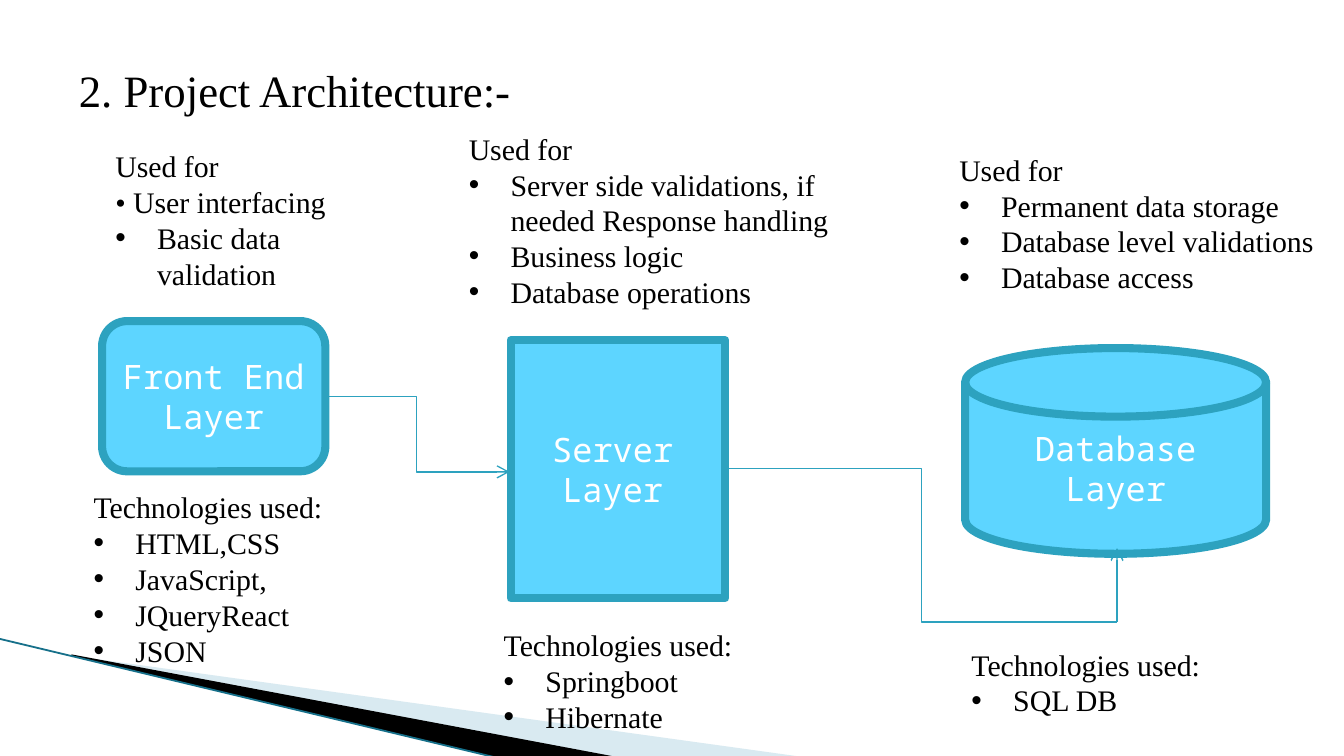
"""Builds the project architecture slide with its three layers."""
from dataclasses import dataclass

from lxml.etree import SubElement
from pptx import Presentation
from pptx.dml.color import RGBColor
from pptx.enum.shapes import MSO_CONNECTOR as Connector, MSO_SHAPE as Shape
from pptx.enum.text import MSO_ANCHOR as Anchor, MSO_AUTO_SIZE as AutoSize, PP_ALIGN as Align
from pptx.oxml.ns import qn
from pptx.util import Cm, Pt


@dataclass(frozen=True)
class Theme:
    ink: str = "000000"
    paper: str = "FFFFFF"
    layer: str = "5DD5FF"
    outline: str = "2DA2BF"
    pale: str = "A0CBDC"
    edge: str = "16708A"
    serif: str = "Times New Roman"
    mono: str = "Noto Sans Mono"
    title: int = 24
    label: int = 18
    body: int = 16
    border: float = 4.33
    thin: float = 0.75
    indent: float = 0.79


class ArchitectureSlide:
    def __init__(self, slide, theme):
        self.slide = slide
        self.theme = theme

    def add_lines(self, frame, lines, size, font, color, bullets=(), align=None):
        entries = [(line, False) for line in lines] + [(line, True) for line in bullets]
        for index, (line, bulleted) in enumerate(entries):
            paragraph = frame.add_paragraph() if index else frame.paragraphs[0]
            paragraph.alignment = align
            run = paragraph.add_run()
            run.text = line
            run.font.size = Pt(size)
            run.font.name = font
            run.font.color.rgb = RGBColor.from_string(color)
            if bulleted:
                properties = paragraph._p.get_or_add_pPr()
                properties.set("marL", str(Cm(self.theme.indent)))
                properties.set("indent", str(-Cm(self.theme.indent)))
                SubElement(properties, qn("a:buFont"), typeface="Arial")
                SubElement(properties, qn("a:buChar"), char="•")

    def text_frame(self, box, wrap=True):
        frame = self.slide.shapes.add_textbox(*map(Cm, box)).text_frame
        frame.word_wrap = wrap
        frame.auto_size = AutoSize.SHAPE_TO_FIT_TEXT
        return frame

    def title(self, box, text):
        theme = self.theme
        self.add_lines(self.text_frame(box), [text], theme.title, theme.serif, theme.ink)

    def notes(self, box, lines, bullets, wrap=True):
        theme = self.theme
        frame = self.text_frame(box, wrap)
        self.add_lines(frame, lines, theme.body, theme.serif, theme.ink, bullets)

    def label(self, frame, lines):
        theme = self.theme
        self.add_lines(frame, lines, theme.label, theme.mono, theme.paper, align=Align.CENTER)

    def layer(self, kind, box, lines=()):
        shape = self.slide.shapes.add_shape(kind, *map(Cm, box))
        shape.shadow.inherit = False
        shape.fill.solid()
        shape.fill.fore_color.rgb = RGBColor.from_string(self.theme.layer)
        shape.line.color.rgb = RGBColor.from_string(self.theme.outline)
        shape.line.width = Pt(self.theme.border)
        frame = shape.text_frame
        frame.word_wrap = len(lines) < 2
        frame.vertical_anchor = Anchor.MIDDLE
        self.label(frame, lines)

    def connector(self, kind, start, end, color, width, arrow=False):
        connector = self.slide.shapes.add_connector(kind, *map(Cm, start + end))
        connector.line.color.rgb = RGBColor.from_string(color)
        connector.line.width = Pt(width)
        properties = connector._element.spPr
        if arrow:
            SubElement(properties.find(qn("a:ln")), qn("a:tailEnd"), type="arrow")
        SubElement(properties, qn("a:effectLst"))

    def wedge(self, points, color, opacity=100):
        corners = [tuple(map(Cm, point)) for point in points]
        builder = self.slide.shapes.build_freeform(*corners[0])
        builder.add_line_segments(corners[1:], close=True)
        shape = builder.convert_to_shape()
        shape.shadow.inherit = False
        shape.fill.solid()
        shape.fill.fore_color.rgb = RGBColor.from_string(color)
        shape.line.fill.background()
        tint = shape._element.spPr.find(qn("a:solidFill"))[0]
        SubElement(tint, qn("a:alpha"), val=str(opacity * 1000))


presentation = Presentation()
presentation.slide_width, presentation.slide_height = Cm(25.4), Cm(14.29)
theme = Theme()
page = ArchitectureSlide(presentation.slides.add_slide(presentation.slide_layouts[6]), theme)

page.wedge([(1.4, 12.4), (15.11, 14.3), (11.58, 14.3)], theme.pale, 40)
page.wedge([(1.35, 12.37), (11.61, 14.3), (9.45, 14.33), (1.37, 12.4)], theme.ink)
page.connector(Connector.STRAIGHT, (-0.03, 12.07), (9.42, 14.33), theme.edge, 0.95)

page.title((1.24, 1.07, 10.64, 1.27), "2. Project Architecture:-")

page.layer(Shape.ROUNDED_RECTANGLE, (1.93, 6.07, 4.22, 2.84), ["Front End", "Layer"])
page.layer(Shape.RECTANGLE, (9.65, 6.43, 4.06, 4.88))
page.layer(Shape.FLOWCHART_MAGNETIC_DISK, (18.24, 6.58, 5.69, 3.89), ["Database Layer"])
page.label(page.text_frame((9.65, 7.98, 3.86, 1.8)), ["Server Layer"])

turn = (21.11, 11.76)
for kind, start, end, arrow in [
    (Connector.ELBOW, (6.12, 7.49), (9.63, 8.92), True),
    (Connector.ELBOW, (13.72, 8.86), turn, False),
    (Connector.STRAIGHT, turn, (21.11, 10.36), True),
]:
    page.connector(kind, start, end, theme.outline, theme.thin, arrow)

used, technologies = "Used for", "Technologies used:"
page.notes((1.93, 2.67, 5.44, 3), [used, "• User interfacing"], ["Basic data validation"])
page.notes((8.61, 2.34, 7.9, 3.68), [used], [
    "Server side validations, if needed Response handling",
    "Business logic",
    "Database operations",
])
page.notes((17.88, 2.74, 10.54, 3), [used], [
    "Permanent data storage",
    "Database level validations",
    "Database access",
])
page.notes((1.52, 9.12, 6.35, 3.68), [technologies],
           ["HTML,CSS", "JavaScript,", "JQueryReact", "JSON"])
page.notes((9.27, 11.73, 5.03, 2.31), [technologies], ["Springboot", "Hibernate"], wrap=False)
page.notes((18.11, 12.09, 5.03, 1.63), [technologies], ["SQL DB"], wrap=False)

presentation.save("out.pptx")
